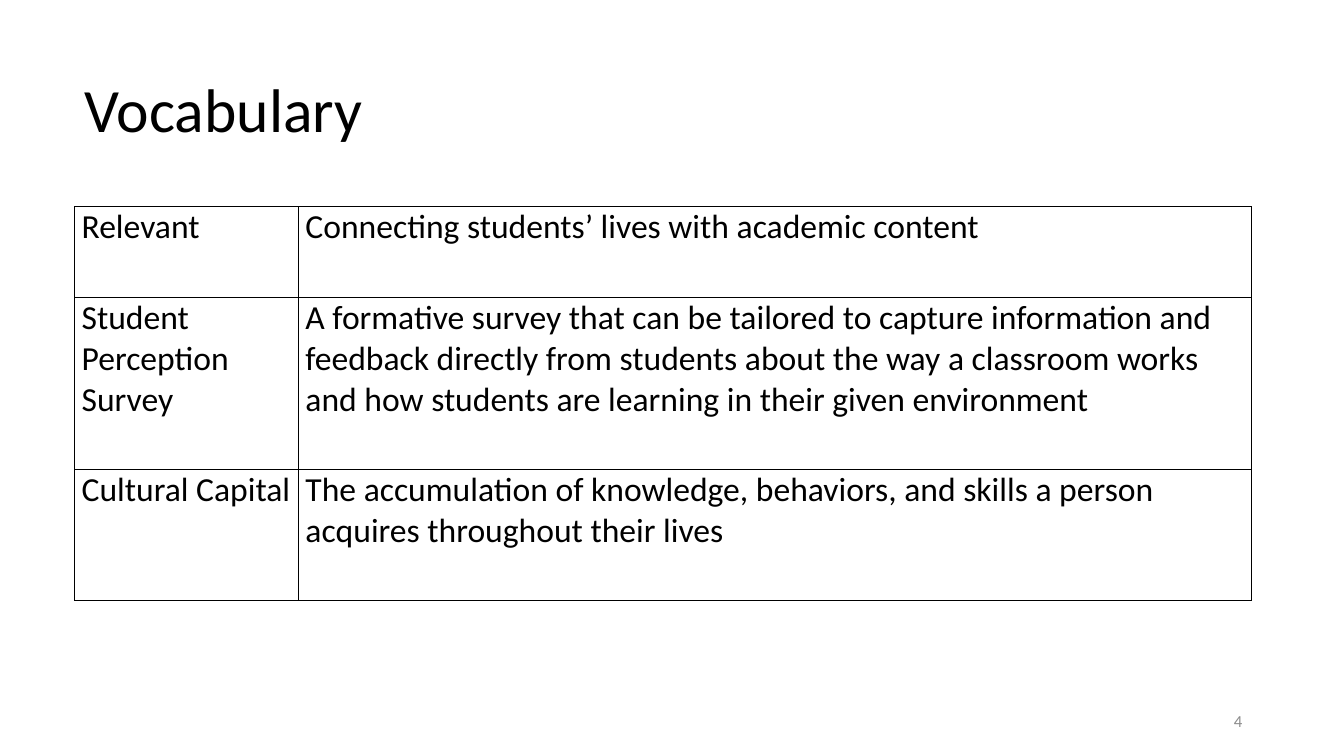
import dataclasses

import pptx
import pptx.dml.color
import pptx.enum.text
import pptx.oxml
import pptx.oxml.ns
import pptx.presentation
import pptx.slide
import pptx.table
import pptx.text.text
import pptx.util

Inches = pptx.util.Inches
Pt = pptx.util.Pt
Anchor = pptx.enum.text.MSO_ANCHOR
Align = pptx.enum.text.PP_ALIGN

BLACK = pptx.dml.color.RGBColor(0x00, 0x00, 0x00)
WHITE = pptx.dml.color.RGBColor(0xFF, 0xFF, 0xFF)
GRAY = pptx.dml.color.RGBColor(0x8C, 0x8C, 0x8C)
FONT = "Calibri"


@dataclasses.dataclass(frozen=True)
class Label:
    text: str
    left: float
    top: float
    width: float
    height: float
    size: int
    color: pptx.dml.color.RGBColor
    alignment: Align = Align.LEFT
    line_spacing: float = 1.0


@dataclasses.dataclass(frozen=True)
class Entry:
    term: str
    definition: str
    height: float


LABELS = [
    Label("Vocabulary", 0.74, 0.39, 11.5, 1.45, 44, BLACK, line_spacing=0.9),
    Label("4", 9.42, 6.95, 3, 0.4, 12, GRAY, alignment=Align.RIGHT),
]

ENTRIES = [
    Entry("Relevant", "Connecting students’ lives with academic content", 0.9),
    Entry(
        "Student Perception Survey",
        "A formative survey that can be tailored to capture information and "
        "feedback directly from students about the way a classroom works "
        "and how students are learning in their given environment",
        1.71,
    ),
    Entry(
        "Cultural Capital",
        "The accumulation of knowledge, behaviors, and skills a person "
        "acquires throughout their lives",
        1.3,
    ),
]

COLUMN_WIDTHS = [2.22, 9.45]


def add_run(
    paragraph: pptx.text.text._Paragraph,
    text: str,
    size: int,
    color: pptx.dml.color.RGBColor,
) -> None:
    run = paragraph.add_run()
    run.text = text
    run.font.name = FONT
    run.font.size = Pt(size)
    run.font.bold = False
    run.font.color.rgb = color


def add_label(slide: pptx.slide.Slide, label: Label) -> None:
    shape = slide.shapes.add_textbox(
        Inches(label.left), Inches(label.top), Inches(label.width), Inches(label.height)
    )
    frame = shape.text_frame
    frame.word_wrap = True
    frame.vertical_anchor = Anchor.MIDDLE
    paragraph = frame.paragraphs[0]
    paragraph.alignment = label.alignment
    paragraph.line_spacing = label.line_spacing
    add_run(paragraph, label.text, label.size, label.color)


def add_borders(cell: pptx.table._Cell) -> None:
    properties = cell._tc.get_or_add_tcPr()
    for position, side in enumerate(("lnL", "lnR", "lnT", "lnB")):
        border = pptx.oxml.parse_xml(
            f'<a:{side} {pptx.oxml.ns.nsdecls("a")} w="{Pt(1)}">'
            f'<a:solidFill><a:srgbClr val="{BLACK}"/></a:solidFill></a:{side}>'
        )
        properties.insert(position, border)


def fill_cell(cell: pptx.table._Cell, text: str) -> None:
    cell.fill.solid()
    cell.fill.fore_color.rgb = WHITE
    cell.margin_left = cell.margin_right = Inches(0.07)
    cell.margin_top = cell.margin_bottom = Inches(0)
    cell.vertical_anchor = Anchor.TOP
    paragraph = cell.text_frame.paragraphs[0]
    paragraph.space_after = Pt(6)
    add_run(paragraph, text, 24, BLACK)
    add_borders(cell)


def add_vocabulary(slide: pptx.slide.Slide, entries: list[Entry]) -> None:
    table = slide.shapes.add_table(
        len(entries),
        len(COLUMN_WIDTHS),
        Inches(0.74),
        Inches(2.05),
        Inches(sum(COLUMN_WIDTHS)),
        Inches(sum(entry.height for entry in entries)),
    ).table
    table.first_row = False
    table.horz_banding = False
    for column, width in zip(table.columns, COLUMN_WIDTHS):
        column.width = Inches(width)
    for row, entry in zip(table.rows, entries):
        row.height = Inches(entry.height)
        for cell, text in zip(row.cells, (entry.term, entry.definition)):
            fill_cell(cell, text)


def main() -> None:
    presentation = pptx.Presentation()
    presentation.slide_width = Inches(13.33)
    presentation.slide_height = Inches(7.5)
    slide = presentation.slides.add_slide(presentation.slide_layouts[6])
    add_vocabulary(slide, ENTRIES)
    for label in LABELS:
        add_label(slide, label)
    presentation.save("out.pptx")


if __name__ == "__main__":
    main()
